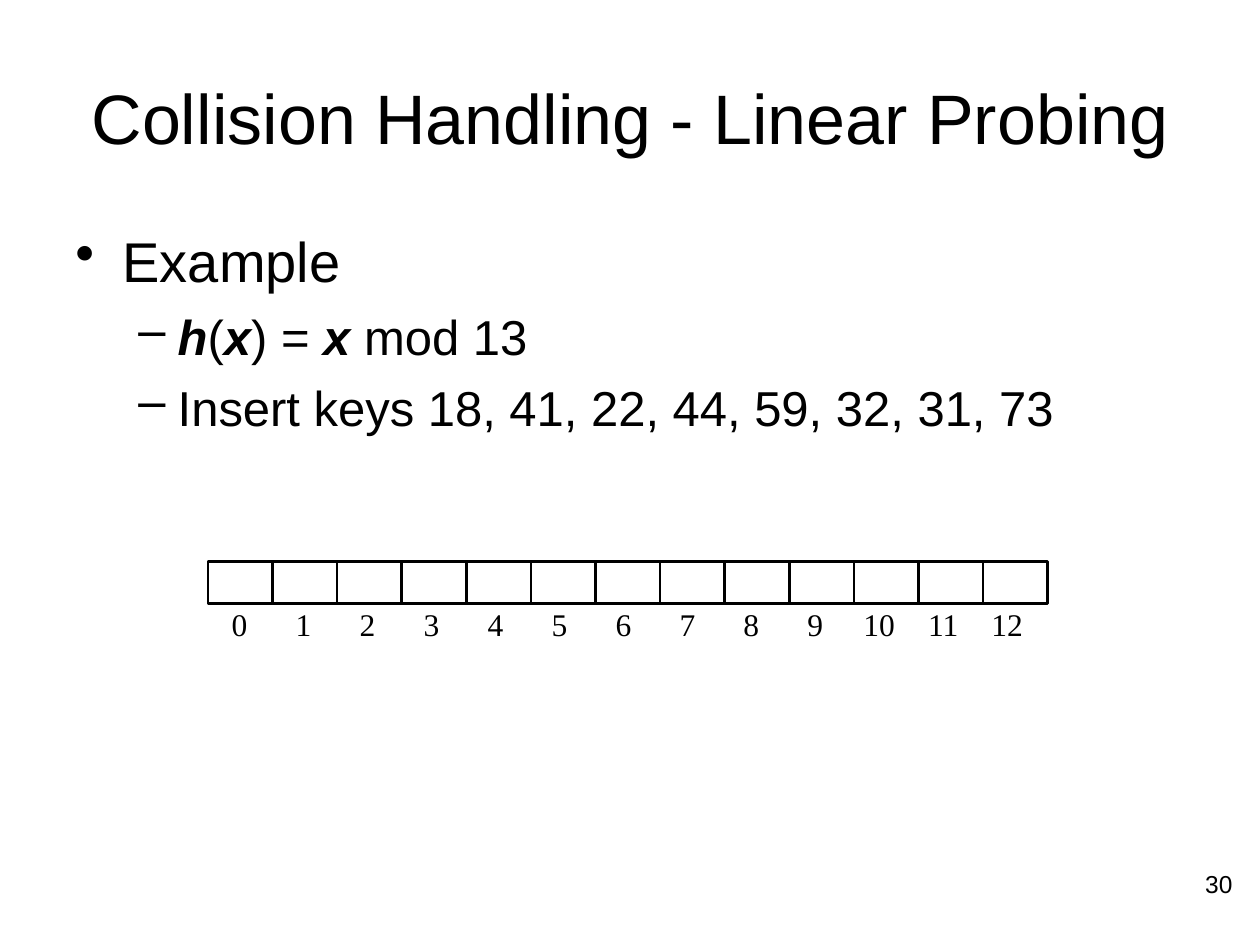
import dataclasses

import lxml.etree
import pptx
import pptx.dml.color
import pptx.enum.shapes
import pptx.enum.text
import pptx.oxml.ns
import pptx.util

Pt = pptx.util.Pt
Align = pptx.enum.text.PP_ALIGN
Anchor = pptx.enum.text.MSO_ANCHOR


@dataclasses.dataclass(frozen=True)
class Theme:
    ink: pptx.dml.color.RGBColor = pptx.dml.color.RGBColor(0, 0, 0)
    sans: str = "Arial"
    serif: str = "Times New Roman"
    title: float = 40
    body: float = 32
    sub: float = 28
    label: float = 18
    number: float = 14
    line: float = 1.5


class Deck:
    def __init__(self, theme, width, height):
        self.theme = theme
        self.prs = pptx.Presentation()
        self.prs.slide_width, self.prs.slide_height = Pt(width), Pt(height)
        self.s = self.prs.slides.add_slide(self.prs.slide_layouts[6])

    def run(self, p, text, size, font=None, strong=False):
        r = p.add_run()
        r.text = text
        r.font.size = Pt(size)
        r.font.name = font or self.theme.sans
        r.font.bold = r.font.italic = strong
        r.font.color.rgb = self.theme.ink

    def frame(self, x, y, w, h, wrap=True, anchor=Anchor.TOP):
        tf = self.s.shapes.add_textbox(Pt(x), Pt(y), Pt(w), Pt(h)).text_frame
        tf.word_wrap = wrap
        tf.vertical_anchor = anchor
        return tf

    def text(self, x, y, w, h, text, size, align, font=None, **layout):
        p = self.frame(x, y, w, h, **layout).paragraphs[0]
        p.alignment = align
        self.run(p, text, size, font)

    def bullet(self, p, char, margin, indent, before):
        p.space_before = Pt(before)
        pPr = p._p.get_or_add_pPr()
        pPr.set("marL", str(Pt(margin)))
        pPr.set("indent", str(Pt(-indent)))
        bu = lxml.etree.SubElement(pPr, pptx.oxml.ns.qn("a:buChar"))
        bu.set("char", char)

    def outline(self, x, y, w, h, items):
        tf = self.frame(x, y, w, h)
        for i, (level, runs) in enumerate(items):
            p = tf.add_paragraph() if i else tf.paragraphs[0]
            p.level = level
            if level:
                self.bullet(p, "–", 58.5, 22.5, 7)
            else:
                self.bullet(p, "•", 27, 27, 8)
            size = self.theme.sub if level else self.theme.body
            for text, strong in runs:
                self.run(p, text, size, strong=strong)

    def cell(self, x, y, w, h):
        sp = self.s.shapes.add_shape(
            pptx.enum.shapes.MSO_SHAPE.RECTANGLE, Pt(x), Pt(y), Pt(w), Pt(h))
        sp.shadow.inherit = False
        sp.fill.background()
        sp.line.color.rgb = self.theme.ink
        sp.line.width = Pt(self.theme.line)


def main():
    theme = Theme()
    deck = Deck(theme, 720, 540)
    deck.text(36, 21.6, 648, 90, "Collision Handling - Linear Probing",
              theme.title, Align.CENTER, anchor=Anchor.MIDDLE)
    deck.outline(36, 126, 648, 356.4, [
        (0, [("Example", False)]),
        (1, [("h", True), ("(", False), ("x", True), (") =", False),
             (" x ", True), ("mod 13", False)]),
        (1, [("Insert keys 18, 41, 22, 44, 59, 32, 31, 73", False)]),
    ])

    slots = 13
    cell_w, label_step = 36.92, 36.56
    for i in range(slots):
        deck.cell(118.8 + i * cell_w, 321, cell_w, 24)
    for i in range(slots):
        w = 23 if i < 10 else 32.4
        deck.text(136.8 + i * label_step - w / 2, 342, w, 28.8, str(i),
                  theme.label, Align.CENTER, theme.serif, wrap=False)

    deck.text(543.6, 493.2, 167.8, 37.4, "30", theme.number, Align.RIGHT)
    deck.prs.save("out.pptx")


if __name__ == "__main__":
    main()
